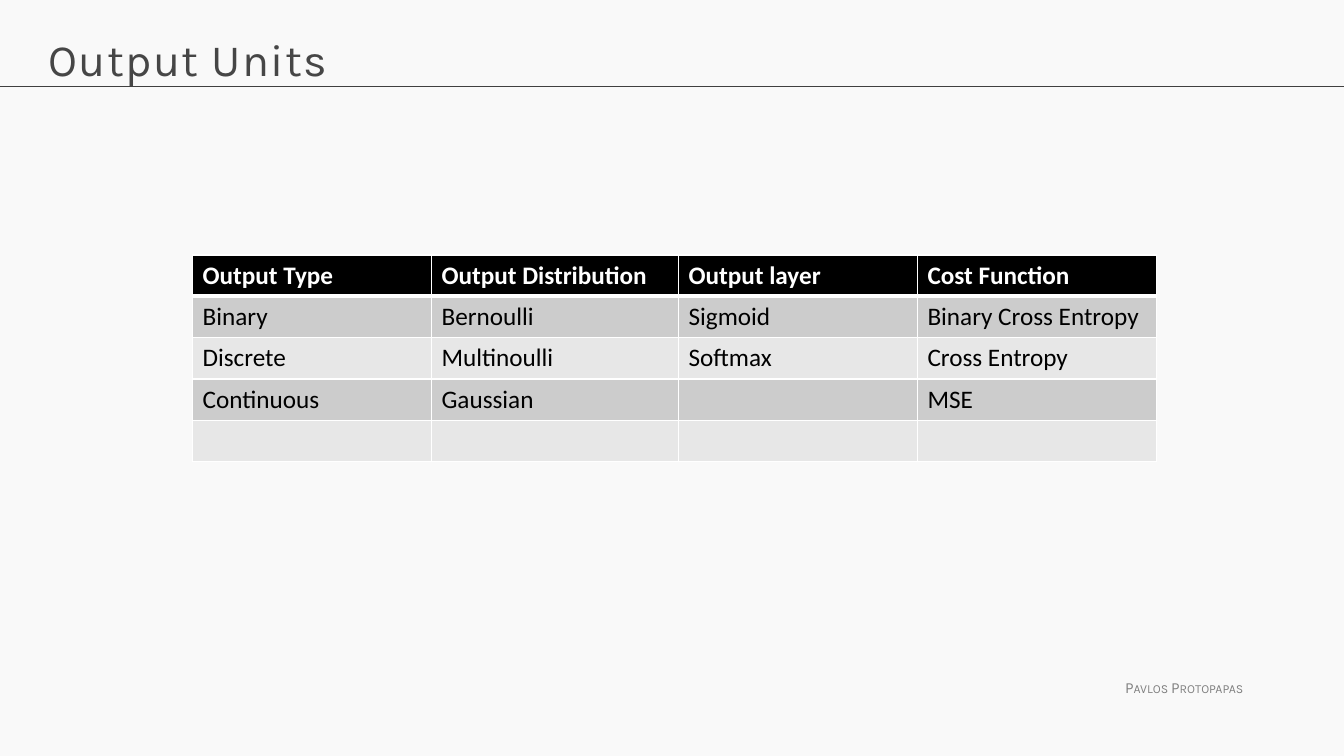
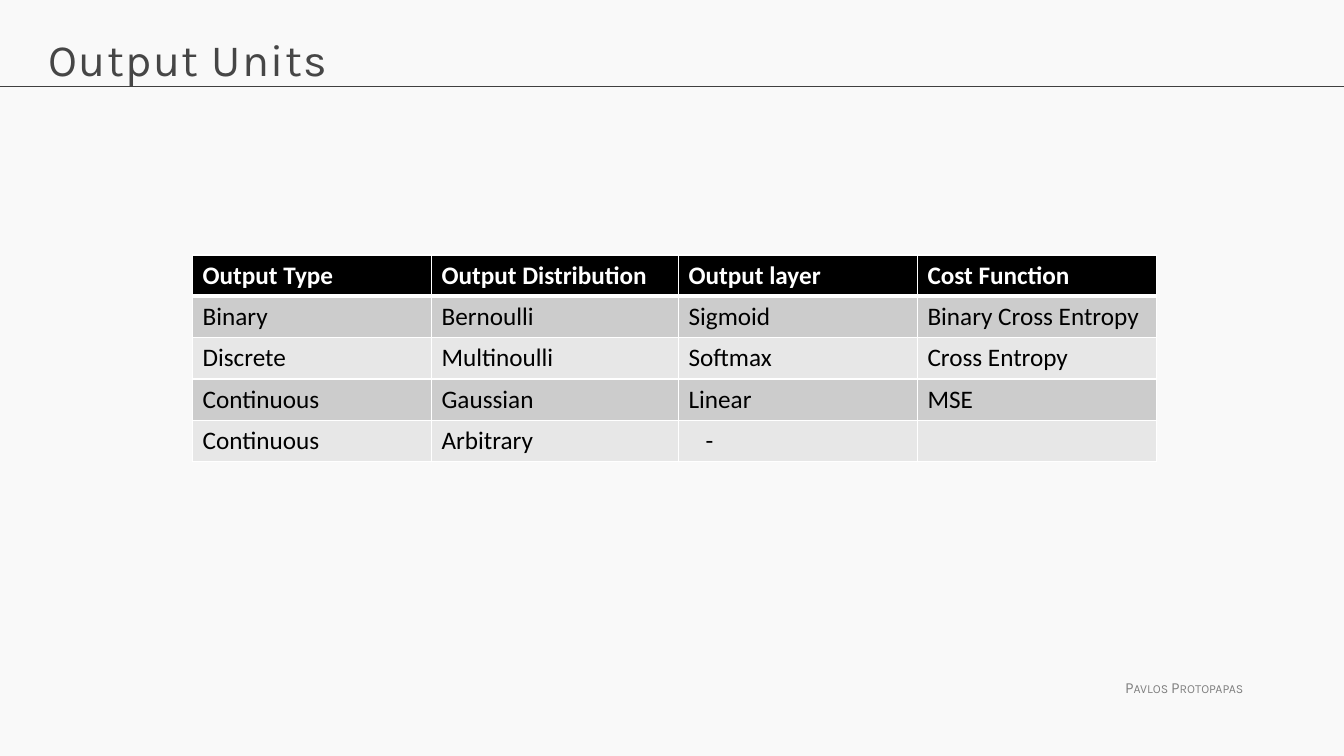
from pptx import Presentation
from pptx.dml.color import RGBColor
from pptx.enum.shapes import MSO_CONNECTOR
from pptx.enum.text import MSO_ANCHOR, PP_ALIGN
from pptx.oxml import parse_xml
from pptx.oxml.ns import nsdecls, qn
from pptx.util import Inches, Pt

STRAIGHT = MSO_CONNECTOR.STRAIGHT
TOP = MSO_ANCHOR.TOP
LEFT = PP_ALIGN.LEFT

PAPER = RGBColor(0xF9, 0xF9, 0xF9)
RULE = RGBColor(0x40, 0x40, 0x40)
TITLE_GREY = RGBColor(0x46, 0x46, 0x46)
FOOTER_GREY = RGBColor(0x80, 0x80, 0x80)
BLACK = RGBColor(0x00, 0x00, 0x00)
WHITE = RGBColor(0xFF, 0xFF, 0xFF)
BANDS = [RGBColor(0xE7, 0xE7, 0xE7), RGBColor(0xCC, 0xCC, 0xCC)]

HEADER = ["Output Type", "Output Distribution", "Output layer", "Cost Function"]
BINARY = ["Binary", "Bernoulli", "Sigmoid", "Binary Cross Entropy"]
DISCRETE = ["Discrete", "Multinoulli", "Softmax", "Cross Entropy"]
TABLES = [
    [HEADER, BINARY, DISCRETE,
     ["Continuous", "Gaussian", "", "MSE"],
     ["", "", "", ""]],
    [HEADER, BINARY, DISCRETE,
     ["Continuous", "Gaussian", "Linear", "MSE"],
     ["Continuous", "Arbitrary", "-", ""]],
]
COLUMN_WIDTHS = [2.37, 2.45, 2.37, 2.37]
ROW_HEIGHT = 0.41
DASH_MARGIN = 0.27


def style(para, name, size, color, bold=False, **attributes):
    """Set the paragraph's font; attributes are extra ones such as cap or spc."""
    font = para.font
    font.name, font.size, font.bold = name, Pt(size), bold
    font.color.rgb = color
    for key, value in attributes.items():
        para._p.pPr.find(qn("a:defRPr")).set(key, value)


def add_borders(cell, top, bottom):
    """Draw white cell borders; top and bottom are widths in points."""
    properties = cell._tc.get_or_add_tcPr()
    for side, width in (("L", 1), ("R", 1), ("T", top), ("B", bottom)):
        properties.append(parse_xml(
            f'<a:ln{side} {nsdecls("a")} w="{Pt(width)}"><a:solidFill>'
            f'<a:srgbClr val="{WHITE}"/></a:solidFill></a:ln{side}>'))


deck = Presentation()
deck.slide_width, deck.slide_height = Inches(13.33), Inches(7.5)
background = deck.slide_master.background.fill
background.solid()
background.fore_color.rgb = PAPER
title_only = deck.slide_layouts[5]

for rows in TABLES:
    slide = deck.slides.add_slide(title_only)

    rule_y = Inches(0.86)
    rule = slide.shapes.add_connector(STRAIGHT, 0, rule_y, deck.slide_width, rule_y)
    rule.line.color.rgb = RULE
    rule.line.width = Pt(0.75)
    rule._element.spPr.append(parse_xml(f'<a:effectLst {nsdecls("a")}/>'))

    footer = slide.shapes.add_textbox(Inches(11.06), Inches(6.68), Inches(1.41), Inches(0.29))
    footer.text_frame.word_wrap = False
    footer.text_frame.text = "Pavlos Protopapas"
    style(footer.text_frame.paragraphs[0], "Karla", 11, FOOTER_GREY, cap="small")

    title = slide.shapes.title
    title.left, title.top = Inches(0.38), Inches(0.24)
    title.width, title.height = Inches(12.57), Inches(0.84)
    frame = title.text_frame
    frame.text = "Output Units"
    frame.vertical_anchor = TOP
    frame.margin_top = Inches(0.07)
    frame.paragraphs[0].alignment = LEFT
    style(frame.paragraphs[0], "Karla", 32, TITLE_GREY, spc="100")

    table = slide.shapes.add_table(
        len(rows), len(HEADER), Inches(1.91), Inches(2.53),
        Inches(sum(COLUMN_WIDTHS)), Inches(ROW_HEIGHT * len(rows))).table
    for column, width in zip(table.columns, COLUMN_WIDTHS):
        column.width = Inches(width)
    for row_index, texts in enumerate(rows):
        is_header = row_index == 0
        for column_index, text in enumerate(texts):
            cell = table.cell(row_index, column_index)
            add_borders(cell, top=3 if row_index == 1 else 1, bottom=3 if is_header else 1)
            cell.fill.solid()
            cell.fill.fore_color.rgb = BLACK if is_header else BANDS[row_index % 2]
            cell.text = text
            if text == "-":
                cell.margin_left = Inches(DASH_MARGIN)
            style(cell.text_frame.paragraphs[0], "Calibri", 18,
                  WHITE if is_header else BLACK, bold=is_header)

deck.save("out.pptx")
